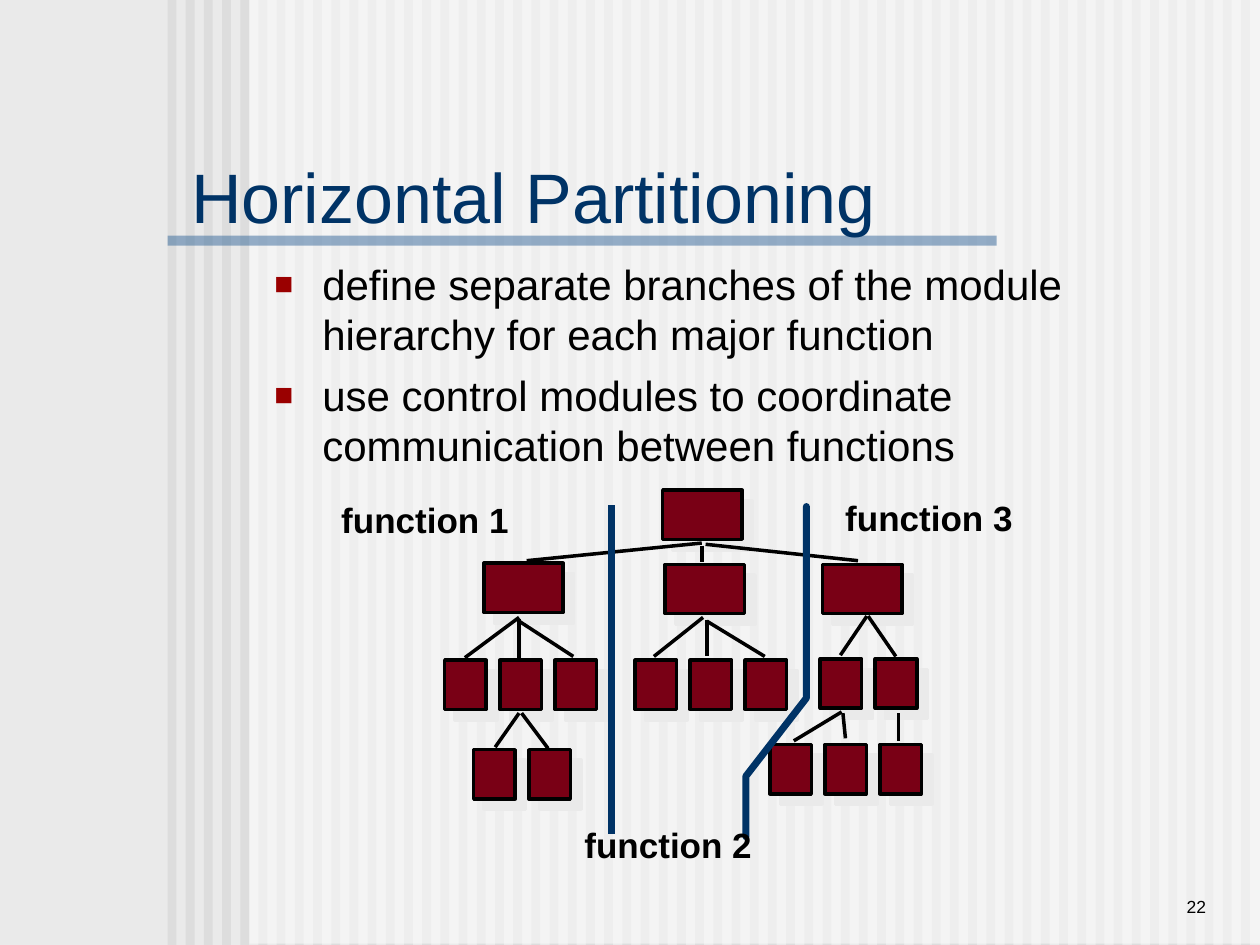
from dataclasses import dataclass

from lxml import etree
from pptx import Presentation
from pptx import util as u
from pptx.dml.color import RGBColor
from pptx.enum import shapes, text
from pptx.oxml import ns


@dataclass(frozen=True)
class Theme:
    font: str = "Arial"
    background: str = "EAEAEA"
    stripe: str = "DDDDDD"
    veil: str = "FFFFFF"
    rule: str = "336699"
    navy: str = "003366"
    ink: str = "000000"
    module: str = "790015"
    bullet: str = "9A0000"
    title_size: int = 40
    body_size: int = 24
    label_size: int = 20
    number_size: int = 10
    thin: int = 2
    thick: int = 4


theme = Theme()
deck = Presentation()
deck.slide_width, deck.slide_height = u.Inches(10), u.Inches(7.5)
page = deck.slides.add_slide(deck.slide_layouts[6])
page.background.fill.solid()
page.background.fill.fore_color.rgb = RGBColor.from_string(theme.background)


def add_rect(left, top, width, height, color, alpha=100):
    rect = page.shapes.add_shape(
        shapes.MSO_SHAPE.RECTANGLE, *map(u.Inches, (left, top, width, height)))
    rect.shadow.inherit = False
    rect.line.fill.background()
    rect.fill.solid()
    rect.fill.fore_color.rgb = RGBColor.from_string(color)
    if alpha < 100:
        tone = rect._element.spPr.find(".//" + ns.qn("a:srgbClr"))
        etree.SubElement(tone, ns.qn("a:alpha"), val=str(alpha * 1000))
    return rect


def add_text(area, lines, size, color=theme.ink, bold=False, wrap=True,
             anchor=text.MSO_ANCHOR.TOP, align=text.PP_ALIGN.LEFT):
    box = page.shapes.add_textbox(*map(u.Inches, area))
    frame = box.text_frame
    frame.word_wrap = wrap
    frame.vertical_anchor = anchor
    frame.text = "\n".join(lines)
    for para in frame.paragraphs:
        para.alignment = align
        for span in para.runs:
            span.font.name = theme.font
            span.font.size = u.Pt(size)
            span.font.bold = bold
            span.font.color.rgb = RGBColor.from_string(color)
    return box


stripe_count, stripe_pitch = 60, 8.52 / 59
for index in range(stripe_count):
    add_rect(1.33 + index * stripe_pitch, 0, 0.07, 7.5, theme.stripe)
add_rect(1.98, 0, 8.02, 7.49, theme.veil, 50)
add_rect(1.33, 1.87, 6.58, 0.08, theme.rule, 50)

add_text((8.25, 6.83, 1.42, 0.5), ["22"], theme.number_size,
         anchor=text.MSO_ANCHOR.BOTTOM, align=text.PP_ALIGN.RIGHT)
add_text((1.42, 1.25, 5.91, 0.6), ["Horizontal Partitioning"], theme.title_size,
         theme.navy, anchor=text.MSO_ANCHOR.MIDDLE)
body = add_text((2.08, 2, 7.56, 2.58), [
    "define separate branches of the module hierarchy for each major function",
    "use control modules to coordinate communication between functions",
], theme.body_size)
for para in body.text_frame.paragraphs:
    para.space_before = u.Pt(6)
    settings = para._p.get_or_add_pPr()
    settings.set("marL", str(u.Inches(0.38)))
    settings.set("indent", str(u.Inches(-0.38)))
    bullet_color = etree.SubElement(settings, ns.qn("a:buClr"))
    etree.SubElement(bullet_color, ns.qn("a:srgbClr"), val=theme.bullet)
    etree.SubElement(settings, ns.qn("a:buSzPct"), val="75000")
    etree.SubElement(settings, ns.qn("a:buFont"), typeface=theme.font)
    etree.SubElement(settings, ns.qn("a:buChar"), char="■")

control_width, worker_width, module_height, worker_pitch = 0.63, 0.33, 0.39, 0.437
modules = [(left, top, control_width) for left, top in
           [(5.26, 3.89), (3.84, 4.47), (5.28, 4.48), (6.53, 4.48)]]
worker_rows = [(3.53, 5.24, 3), (5.04, 5.24, 3), (6.51, 5.23, 2),
               (6.11, 5.91, 3), (3.76, 5.95, 2)]
for left, top, count in worker_rows:
    modules += [(left + index * worker_pitch, top, worker_width) for index in range(count)]
for left, top, width in modules:
    module = add_rect(left, top, width, module_height, theme.module)
    module.line.color.rgb = RGBColor.from_string(theme.ink)
    module.line.width = u.Pt(theme.thin)
    effects = module._element.spPr.find(ns.qn("a:effectLst"))
    shadow = etree.SubElement(effects, ns.qn("a:outerShdw"), dist=str(u.Pt(8.5)),
                              dir="2700000", algn="ctr", rotWithShape="0")
    etree.SubElement(shadow, ns.qn("a:srgbClr"), val=theme.background)

branches = [
    (5.57, 4.31, 4.18, 4.45), (5.57, 4.33, 5.57, 4.46), (5.6, 4.32, 6.81, 4.45),
    (4.12, 4.9, 3.69, 5.22), (4.12, 4.91, 4.12, 5.22), (4.12, 4.93, 4.55, 5.21),
    (5.58, 4.9, 5.19, 5.21), (5.61, 4.92, 5.61, 5.21), (5.61, 4.93, 6.07, 5.21),
    (6.88, 4.89, 6.67, 5.2), (6.89, 4.89, 7.11, 5.21),
    (6.68, 5.65, 6.3, 5.88), (6.69, 5.66, 6.71, 5.86), (7.13, 5.66, 7.13, 5.88),
    (4.12, 5.66, 3.93, 5.93), (4.14, 5.66, 4.35, 5.94),
]
divider = (4.85, 4.01, 4.85, 6.62)
lines = [(ends, theme.ink, theme.thin) for ends in branches]
lines.append((divider, theme.navy, theme.thick))
for ends, color, width in lines:
    line = page.shapes.add_connector(shapes.MSO_CONNECTOR.STRAIGHT, *map(u.Inches, ends))
    line.line.color.rgb = RGBColor.from_string(color)
    line.line.width = u.Pt(width)
    etree.SubElement(line._element.spPr, ns.qn("a:effectLst"))

corners = [(u.Inches(x), u.Inches(y)) for x, y in
           [(6.4, 4.02), (6.4, 5.54), (5.92, 6.16), (5.92, 6.64)]]
builder = page.shapes.build_freeform(*corners[0])
builder.add_line_segments(corners[1:], close=False)
boundary = builder.convert_to_shape()
boundary.shadow.inherit = False
boundary.fill.background()
boundary.line.color.rgb = RGBColor.from_string(theme.navy)
boundary.line.width = u.Pt(theme.thick)
outline = boundary._element.spPr.find(ns.qn("a:ln"))
outline.set("cap", "rnd")
etree.SubElement(outline, ns.qn("a:round"))

for left, top, label in [(2.61, 3.91, "function 1"), (6.61, 3.89, "function 3"),
                         (4.54, 6.49, "function 2")]:
    box = add_text((left, top, 1.53, 0.43), [label], theme.label_size, bold=True, wrap=False)
    box.text_frame.auto_size = text.MSO_AUTO_SIZE.SHAPE_TO_FIT_TEXT

deck.save("out.pptx")
